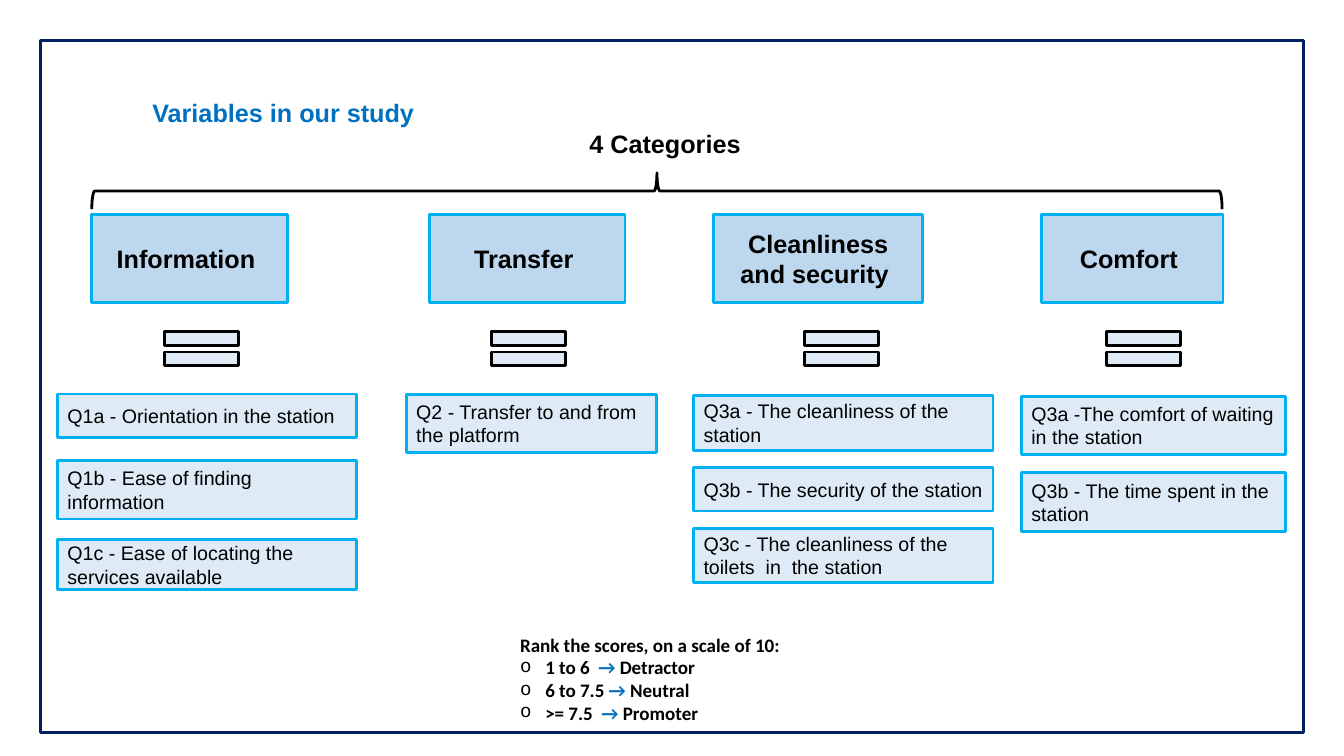
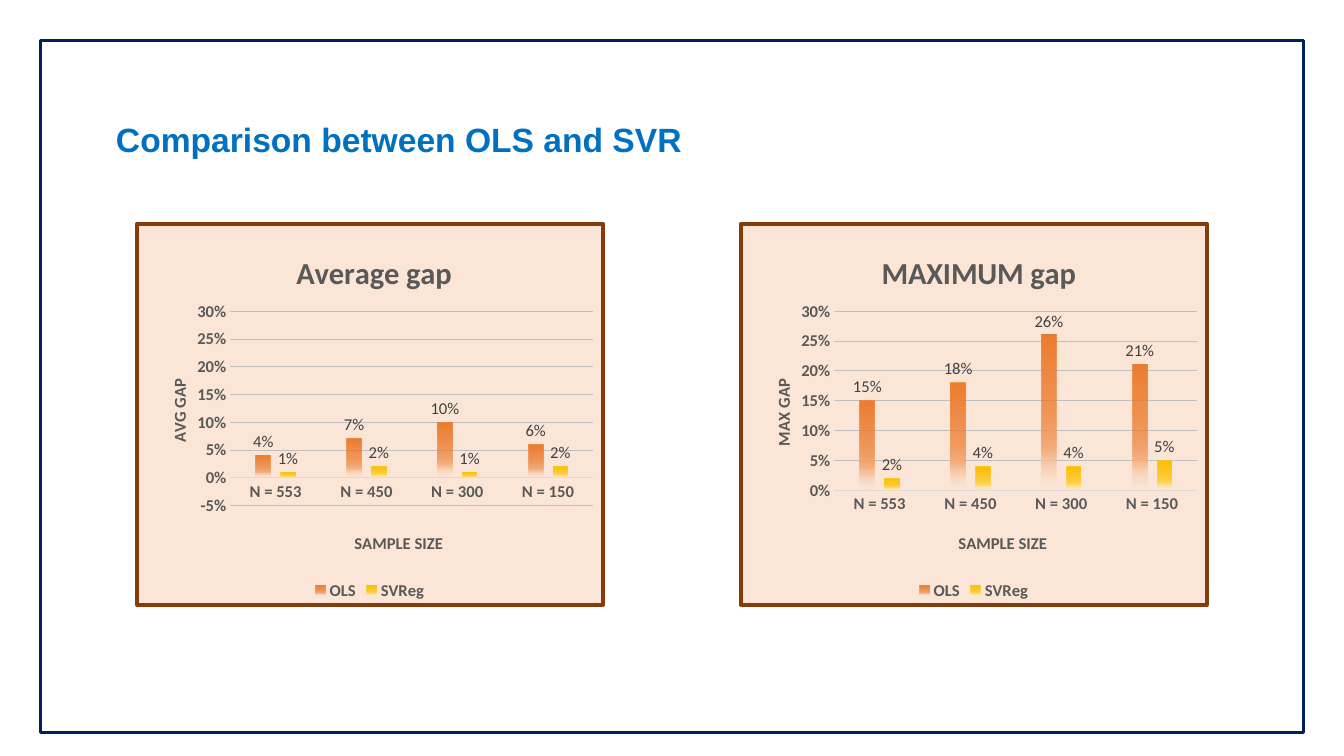
from lxml.etree import SubElement
from pptx import Presentation
from pptx.chart.data import CategoryChartData
from pptx.dml.color import RGBColor
from pptx.enum.chart import XL_CHART_TYPE, XL_LABEL_POSITION, XL_LEGEND_POSITION, XL_TICK_MARK
from pptx.enum.shapes import MSO_SHAPE
from pptx.enum.text import MSO_ANCHOR, PP_ALIGN
from pptx.oxml import parse_xml
from pptx.oxml.ns import nsdecls, qn
from pptx.util import Inches, Pt

SLIDE_W, SLIDE_H = Inches(13.33), Inches(7.5)
NAVY, BLUE, SKY = "002060", "0070C0", "00B0F0"
HEAD_FILL, PALE_FILL = "BDD7EE", "DEEBF7"
BLACK, GREY, DARK_GREY = "000000", "595959", "404040"
PEACH, BROWN, GRID_GREY, AXIS_GREY = "FBE5D6", "843C0B", "BFBFBF", "D9D9D9"

# Title, head (left, width), left of equal sign, question (left, width),
# then questions as (text, top, height); lengths in percent of the slide
CATEGORIES = [
    ("Information ", (6.83, 14.55), 11.25, (4.28, 22.28), [
        ("Q1a - Orientation in the station", 52.13, 5.73),
        ("Q1b - Ease of finding information", 60.93, 7.73),
        ("Q1c - Ease of locating the services available", 71.33, 6.67)]),
    ("Transfer ", (31.96, 14.55), 35.56, (30.23, 18.6), [
        ("Q2 - Transfer to and from the platform", 52.13, 7.73)]),
    ("Cleanliness and security ", (53.11, 15.53), 58.89, (51.61, 22.28), [
        ("Q3a - The cleanliness of the station", 52.27, 7.33),
        ("Q3b - The security of the station", 61.87, 5.73),
        ("Q3c - The cleanliness of the toilets  in  the station", 69.87, 7.2)]),
    ("Comfort ", (77.5, 13.5), 81.32, (76, 19.65), [
        ("Q3a -The comfort of waiting in the station", 52.4, 7.73),
        ("Q3b - The time spent in the station", 62.53, 7.73)]),
]
SCORES = [("1 to 6  ", "Detractor"), ("6 to 7.5 ", "Neutral"), (">= 7.5  ", "Promoter")]

SAMPLES = ["N = 553", "N = 450", "N = 300", "N = 150"]
# Gradient stops: position %, colour, opacity %
SERIES_STOPS = {
    "OLS": [(0, "ED7D31", 100), (51, "ED7D31", 75), (75, "F4B183", 100), (100, "FBE5D6", 15)],
    "SVReg": [(0, "FFC000", 100), (51, "FFC000", 75), (75, "FFD966", 100), (100, "FFF2CC", 15)],
}


def rgb(value):
    return RGBColor.from_string(value)


def place(left, top, width, height):
    """Turn percentages of the slide into lengths."""
    return [int(share * side / 100) for share, side in
            zip((left, top, width, height), (SLIDE_W, SLIDE_H) * 2)]


def style_font(font, size, color=BLACK, bold=False, name="Calibri"):
    font.size, font.bold, font.name = Pt(size), bold, name
    font.color.rgb = rgb(color)


def write(frame, *paragraphs, size=18, color=BLACK, bold=False, name="Arial",
          align=PP_ALIGN.LEFT, anchor=MSO_ANCHOR.MIDDLE):
    """Each paragraph is a string or a list of (text, colour) runs."""
    frame.word_wrap = True
    frame.vertical_anchor = anchor
    for index, content in enumerate(paragraphs):
        paragraph = frame.paragraphs[0] if index == 0 else frame.add_paragraph()
        paragraph.alignment = align
        runs = [(content, color)] if isinstance(content, str) else content
        for text, run_color in runs:
            run = paragraph.add_run()
            run.text = text
            style_font(run.font, size, run_color, bold, name)


def add_bullet(paragraph, char, indent):
    props = paragraph._p.get_or_add_pPr()
    props.set("marL", str(indent))
    props.set("indent", str(-indent))
    SubElement(props, qn("a:buFont"), typeface="Courier New")
    SubElement(props, qn("a:buChar"), char=char)


def add_outline(slide, kind, bounds, line, fill=None):
    shape = slide.shapes.add_shape(kind, *bounds)
    shape.shadow.inherit = False
    shape.line.color.rgb = rgb(line)
    shape.line.width = Pt(2)
    if fill:
        shape.fill.solid()
        shape.fill.fore_color.rgb = rgb(fill)
    else:
        shape.fill.background()
    return shape


def add_box(slide, text, bounds, fill, **text_format):
    box = add_outline(slide, MSO_SHAPE.RECTANGLE, bounds, SKY, fill)
    write(box.text_frame, text, **text_format)


def add_text(slide, bounds, *paragraphs, **text_format):
    frame = slide.shapes.add_textbox(*bounds).text_frame
    write(frame, *paragraphs, **text_format)
    return frame


def add_framed_slide(deck, title, bounds, size):
    slide = deck.slides.add_slide(deck.slide_layouts[5])
    heading = slide.shapes.title
    heading.left, heading.top, heading.width, heading.height = bounds
    write(heading.text_frame, title, size=size, color=BLUE, bold=True)
    add_outline(slide, MSO_SHAPE.RECTANGLE, place(3, 5.33, 94, 91.6), NAVY)
    return slide


def add_brace(slide, bounds):
    """Turn a left brace so that it fills the bounds and points upwards."""
    left, top, width, height = bounds
    turned = (left + (width - height) // 2, top + (height - width) // 2, height, width)
    add_outline(slide, MSO_SHAPE.LEFT_BRACE, turned, BLACK).rotation = 90


def add_category(slide, title, head, equal_left, column, questions):
    add_box(slide, title, place(head[0], 28.4, head[1], 11.6), HEAD_FILL,
            bold=True, align=PP_ALIGN.CENTER)
    add_outline(slide, MSO_SHAPE.MATH_EQUAL, place(equal_left, 42.25, 7.5, 7.73),
                BLACK, PALE_FILL)
    for question, top, height in questions:
        add_box(slide, question, place(column[0], top, column[1], height),
                PALE_FILL, size=14)


def layout_xml(x, y, size=None):
    """Manual chart layout in shares of the chart; a size sets the inner plot."""
    target = '<c:layoutTarget val="inner"/>' if size else ""
    extent = '<c:w val="%s"/><c:h val="%s"/>' % size if size else ""
    return parse_xml(
        f'<c:layout {nsdecls("c")}><c:manualLayout>{target}<c:xMode val="edge"/>'
        f'<c:yMode val="edge"/><c:x val="{x}"/><c:y val="{y}"/>{extent}'
        '</c:manualLayout></c:layout>')


def set_layout(element, layout, after=None):
    for old in element.findall(qn("c:layout")):
        element.remove(old)
    if after is None:
        element.insert(0, layout)
    else:
        element.find(qn(after)).addnext(layout)


def set_chart_title(title, text, size, position):
    write(title.text_frame, text, size=size, color=GREY, bold=True, name="Calibri",
          align=PP_ALIGN.CENTER)
    set_layout(title._element, layout_xml(*position), after="c:tx")


def set_gradient(series, stops):
    marks = "".join(
        f'<a:gs pos="{pos * 1000}"><a:srgbClr val="{color}">'
        f'<a:alpha val="{opacity * 1000}"/></a:srgbClr></a:gs>'
        for pos, color, opacity in stops)
    series.format.fill.background()
    props = series._element.find(qn("c:spPr"))
    props.replace(props.find(qn("a:noFill")), parse_xml(
        f'<a:gradFill {nsdecls("a")} rotWithShape="1"><a:gsLst>{marks}</a:gsLst>'
        '<a:lin ang="5400000" scaled="0"/></a:gradFill>'))


def set_chart_area(chart, fill, border):
    chart.element.find(qn("c:chart")).addnext(parse_xml(
        f'<c:spPr {nsdecls("c", "a")}><a:solidFill><a:srgbClr val="{fill}"/></a:solidFill>'
        f'<a:ln w="{Pt(3)}"><a:solidFill><a:srgbClr val="{border}"/></a:solidFill></a:ln>'
        '</c:spPr>'))


def add_gap_chart(slide, left, title, title_x, axis_title, minimum, plot_height, values):
    data = CategoryChartData(number_format="0%")
    data.categories = SAMPLES
    for name, gaps in zip(SERIES_STOPS, values):
        data.add_series(name, gaps)
    chart = slide.shapes.add_chart(XL_CHART_TYPE.COLUMN_CLUSTERED,
                                   *place(left, 29.33, 34.96, 50.93), data).chart
    style_font(chart.font, 10)
    set_chart_area(chart, PEACH, BROWN)
    set_chart_title(chart.chart_title, title, 22, (title_x, 0.06))
    chart.chart_title.include_in_layout = False

    # Axes
    samples, gaps = chart.category_axis, chart.value_axis
    for axis, text, position in ((samples, "SAMPLE SIZE", (0.46, 0.8)),
                                 (gaps, axis_title, (0.06, 0.4))):
        set_chart_title(axis.axis_title, text, 12, position)
        style_font(axis.tick_labels.font, 12, GREY, True)
        axis.major_tick_mark = axis.minor_tick_mark = XL_TICK_MARK.NONE
    gaps.axis_title.text_frame._txBody.bodyPr.set("rot", "-5400000")
    gaps.axis_title.text_frame._txBody.bodyPr.set("vert", "horz")
    gaps.minimum_scale, gaps.maximum_scale, gaps.major_unit = minimum, 0.3, 0.05
    gaps.tick_labels.number_format = "0%"
    gaps.tick_labels.number_format_is_linked = False
    gaps.format.line.fill.background()
    for line, color in ((gaps.major_gridlines.format.line, GRID_GREY),
                        (samples.format.line, AXIS_GREY)):
        line.color.rgb = rgb(color)
        line.width = Pt(0.75)

    # Columns and their labels
    plot = chart.plots[0]
    plot.vary_by_categories = False
    plot.gap_width, plot.overlap = 355, -70
    for series in plot.series:
        set_gradient(series, SERIES_STOPS[series.name])
        labels = series.data_labels
        labels.show_value = True
        labels.position = XL_LABEL_POSITION.OUTSIDE_END
        labels.number_format, labels.number_format_is_linked = "0%", False
        style_font(labels.font, 12, DARK_GREY)
    set_layout(chart.element.find(".//" + qn("c:plotArea")),
               layout_xml(0.2, 0.23, (0.78, plot_height)))

    # Legend
    chart.has_legend = True
    chart.legend.position = XL_LEGEND_POSITION.BOTTOM
    chart.legend.include_in_layout = False
    style_font(chart.legend.font, 12, GREY, True)


def add_variables_slide(deck):
    slide = add_framed_slide(deck, "Variables in our study", place(10.58, 12.27, 40, 5.33), 18)
    add_text(slide, place(31.66, 16.27, 36.16, 5.33), "4 Categories ",
             bold=True, align=PP_ALIGN.CENTER)
    add_brace(slide, place(6.83, 22.87, 84.1, 4.8))
    for category in CATEGORIES:
        add_category(slide, *category)
    # Score scale
    scale = add_text(slide, place(37.96, 83.07, 24, 13),
                     "Rank the scores, on a scale of 10:",
                     *[[(scores, BLACK), ("→ ", BLUE), (rank, BLACK)] for scores, rank in SCORES],
                     size=13.6, bold=True, name="Calibri", anchor=MSO_ANCHOR.TOP)
    for paragraph in scale.paragraphs[1:]:
        add_bullet(paragraph, "o", Inches(0.25))


def add_comparison_slide(deck):
    slide = add_framed_slide(deck, "Comparison between OLS and SVR",
                             place(7.88, 15.4, 60, 6), 24)
    add_gap_chart(slide, 10.05, "Average gap", 0.33, "AVG GAP", -0.05, 0.51,
                  [(0.04, 0.07, 0.1, 0.06), (0.01, 0.02, 0.01, 0.02)])
    add_gap_chart(slide, 54.99, "MAXIMUM gap", 0.29, "MAX GAP", 0, 0.47,
                  [(0.15, 0.18, 0.26, 0.21), (0.02, 0.04, 0.04, 0.05)])


def main():
    deck = Presentation()
    deck.slide_width, deck.slide_height = SLIDE_W, SLIDE_H
    add_variables_slide(deck)
    add_comparison_slide(deck)
    deck.save("out.pptx")


if __name__ == "__main__":
    main()
